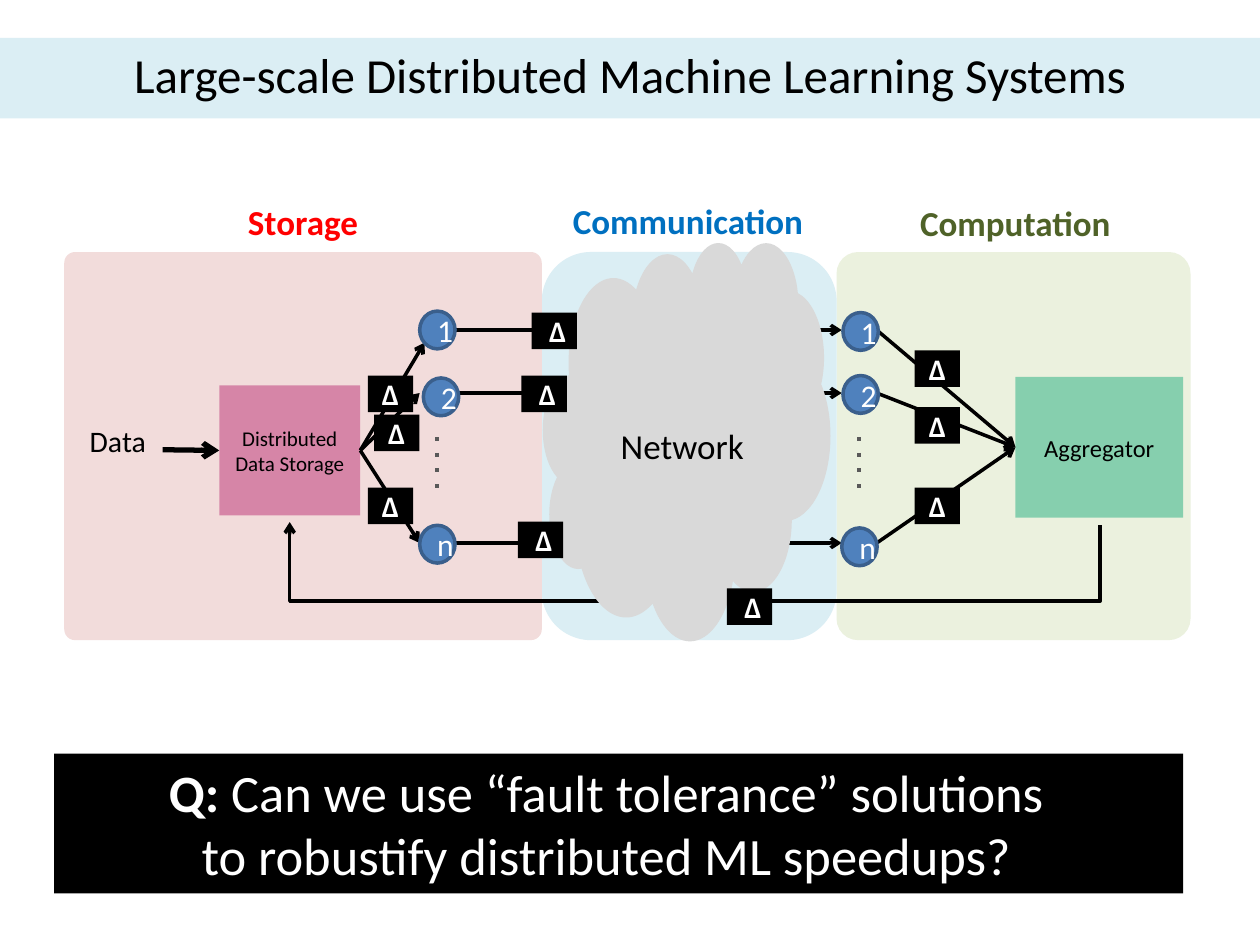
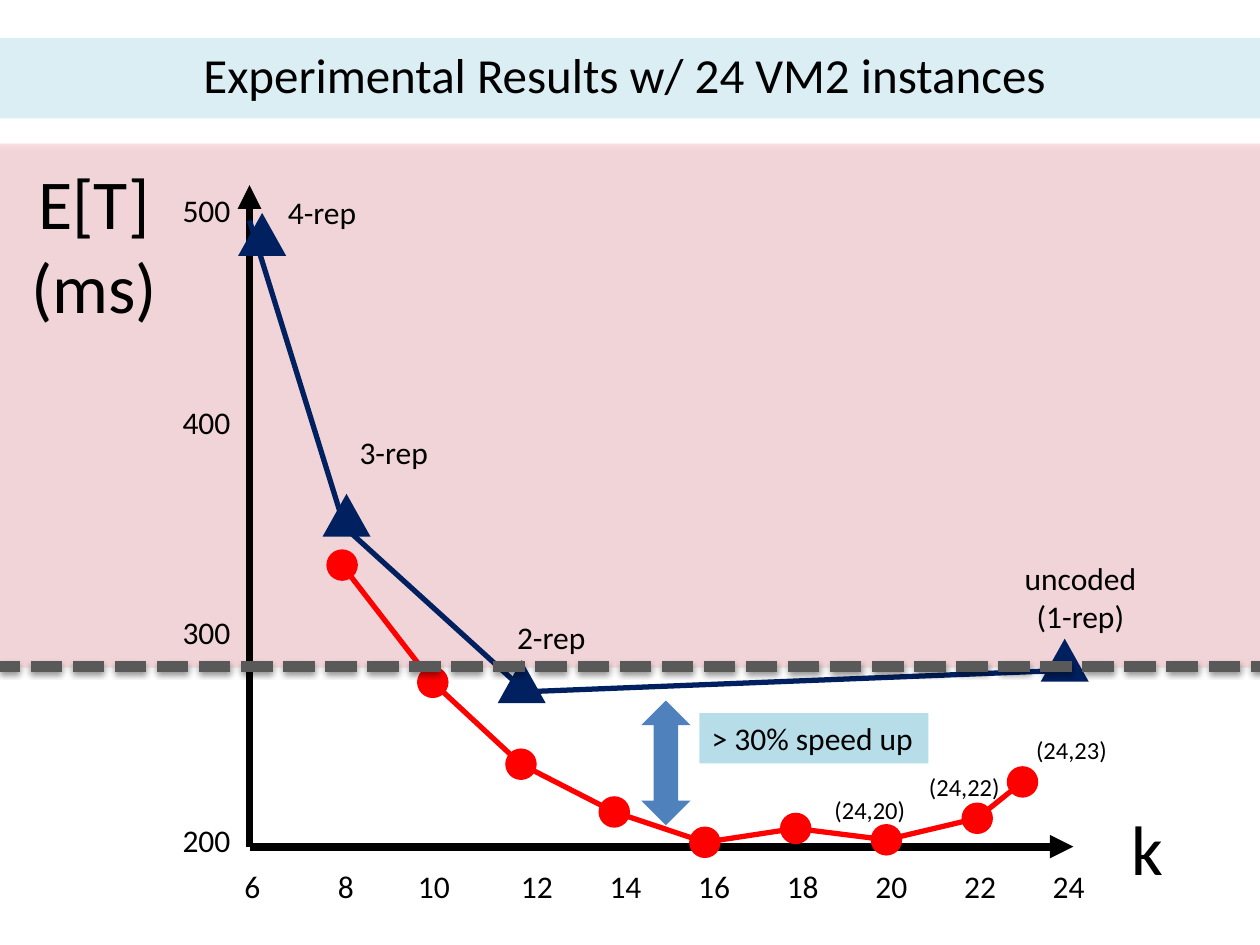
from lxml.etree import SubElement
from pptx import Presentation
from pptx.dml.color import RGBColor
from pptx.enum.shapes import MSO_CONNECTOR, MSO_SHAPE
from pptx.enum.text import MSO_ANCHOR, MSO_AUTO_SIZE, PP_ALIGN
from pptx.oxml.ns import qn
from pptx.util import Pt

FONT = "Calibri"
BLACK = RGBColor(0x00, 0x00, 0x00)
WHITE = RGBColor(0xFF, 0xFF, 0xFF)
RED = RGBColor(0xFF, 0x00, 0x00)
BLUE = RGBColor(0x4F, 0x81, 0xBD)
BLUE_EDGE = RGBColor(0x3A, 0x5F, 0x8C)
NAVY = RGBColor(0x00, 0x20, 0x60)
SKY = RGBColor(0x00, 0x70, 0xC0)
OLIVE = RGBColor(0x4F, 0x62, 0x28)
PALE_BLUE = RGBColor(0xDB, 0xEE, 0xF4)
PALE_GREEN = RGBColor(0xEB, 0xF1, 0xDE)
PALE_RED = RGBColor(0xF2, 0xDC, 0xDB)
AQUA = RGBColor(0xB7, 0xDE, 0xE8)
MAGENTA = RGBColor(0xC1, 0x44, 0x80)
GREEN = RGBColor(0x3A, 0xB6, 0x8A)
CORAL = RGBColor(0xFF, 0x5D, 0x6E)
LIGHT_GRAY = RGBColor(0xD9, 0xD9, 0xD9)
DARK_GRAY = RGBColor(0x59, 0x59, 0x59)
SMALL_INSET = (7.2, 3.6)
LARGE_INSET = (10, 5)


def add_box(slide, preset, frame, fill=None, text="", size=18, color=BLACK,
            bold=False, align=PP_ALIGN.CENTER, inset=SMALL_INSET, alpha=None):
    if preset is None:
        shape = slide.shapes.add_textbox(*map(Pt, frame))
    else:
        shape = slide.shapes.add_shape(preset, *map(Pt, frame))
        shape.shadow.inherit = False
        shape.fill.solid()
        shape.fill.fore_color.rgb = fill
        shape.line.fill.background()
        if alpha is not None:
            fill_color = shape._element.spPr.find(".//" + qn("a:srgbClr"))
            SubElement(fill_color, qn("a:alpha"), val=str(alpha * 1000))
    if text:
        text_frame = shape.text_frame
        text_frame.word_wrap = preset is not None
        text_frame.vertical_anchor = MSO_ANCHOR.TOP if preset is None else MSO_ANCHOR.MIDDLE
        text_frame.margin_left = text_frame.margin_right = Pt(inset[0])
        text_frame.margin_top = text_frame.margin_bottom = Pt(inset[1])
        text_frame.text = text
        for paragraph in text_frame.paragraphs:
            paragraph.alignment = align
            paragraph.font.name = FONT
            paragraph.font.size = Pt(size)
            paragraph.font.bold = bold
            paragraph.font.color.rgb = color
    return shape


def add_line(slide, start, end, color=BLACK, width=2, tail=None, dash=None,
             kind=MSO_CONNECTOR.STRAIGHT):
    line = slide.shapes.add_connector(kind, *map(Pt, (*start, *end)))
    line.line.color.rgb = color
    line.line.width = Pt(width)
    outline = line.line._get_or_add_ln()
    if dash:
        SubElement(outline, qn("a:prstDash"), val=dash)
    if tail:
        SubElement(outline, qn("a:tailEnd"), type=tail)
    SubElement(line._element.spPr, qn("a:effectLst"))
    return line


presentation = Presentation()
presentation.slide_width = Pt(720)
presentation.slide_height = Pt(540)
slides = []
for title_text in ("Large-scale Distributed Machine Learning Systems",
                   "Experimental Results w/ 24 VM2 instances "):
    slide = presentation.slides.add_slide(presentation.slide_layouts[5])
    title = slide.shapes.title
    title.left, title.top, title.width, title.height = map(Pt, (0, 21.6, 720, 46))
    title.fill.solid()
    title.fill.fore_color.rgb = PALE_BLUE
    title.text_frame.auto_size = MSO_AUTO_SIZE.NONE
    title.text_frame.vertical_anchor = MSO_ANCHOR.MIDDLE
    title.text_frame.text = title_text
    paragraph = title.text_frame.paragraphs[0]
    paragraph.alignment = PP_ALIGN.CENTER
    paragraph.line_spacing = 0.9
    paragraph.font.name = FONT
    paragraph.font.size = Pt(28)
    paragraph.font.color.rgb = BLACK
    slides.append(slide)
system_slide, results_slide = slides

for name, left, width, fill, radius, label_left, label_top, label_width, color in (
    ("Computation", 478, 202.3, PALE_GREEN, 0.061, 496, 110.2, 168.5, OLIVE),
    ("Communication", 309.6, 168.5, PALE_BLUE, 0.167, 300.2, 108.8, 185.8, SKY),
    ("Storage", 36.7, 272.9, PALE_RED, 0.028, 90, 109.4, 166.3, RED),
):
    panel = add_box(system_slide, MSO_SHAPE.ROUNDED_RECTANGLE, (left, 144, width, 221.8), fill)
    panel.adjustments[0] = radius
    add_box(system_slide, None, (label_left, label_top, label_width, 34.6),
            text=name, size=20, color=color, bold=True, inset=LARGE_INSET)

storage = add_box(system_slide, MSO_SHAPE.RECTANGLE, (125.3, 220.3, 80.6, 74.2), MAGENTA,
                  "Distributed Data Storage", 12, alpha=57)
aggregator = add_box(system_slide, MSO_SHAPE.RECTANGLE, (580.3, 215.3, 95.8, 80.6), GREEN,
                     "Aggregator", 14, alpha=57)
add_box(system_slide, None, (43.9, 238.3, 46.8, 28), text="Data", size=17)
data_arrow = add_line(system_slide, (92.9, 257), (125.3, 257), width=3, tail="arrow")
data_arrow.end_connect(storage, 1)

for row_y, worker_end in ((188.6, (242.6, 195.8)), (224.6, (239.8, 224.6)),
                          (310.3, (239.8, 310.3))):
    add_line(system_slide, (260, row_y), (481, row_y), tail="arrow")
    scatter = add_line(system_slide, (206, 257), worker_end, tail="arrow")
    scatter.begin_connect(storage, 3)
    gather = add_line(system_slide, (501, row_y), (580.3, 255.6), tail="arrow")
    gather.end_connect(aggregator, 1)

for dots_x in (249.8, 491):
    add_line(system_slide, (dots_x, 249.8), (dots_x, 278.6), DARK_GRAY, 2.25, dash="dot")

for label, left, top in (("1", 239.8, 177.8), ("2", 241.9, 216), ("n", 239.8, 300.2),
                         ("1", 481.7, 178.6), ("2", 481.7, 214.6), ("n", 481, 301.7)):
    worker = add_box(system_slide, MSO_SHAPE.OVAL, (left, top, 20.2, 21.6), BLUE, label,
                     color=WHITE)
    worker.line.color.rgb = BLUE_EDGE
    worker.line.width = Pt(2)

feedback = add_line(system_slide, (398, 67.7), (396.2, 530.7), tail="arrow",
                    kind=MSO_CONNECTOR.ELBOW)
feedback._element.spPr.find(qn("a:xfrm")).set("rot", "5400000")
SubElement(feedback._element.spPr.find(".//" + qn("a:avLst")), qn("a:gd"),
           name="adj1", fmla="val -2396700")

add_box(system_slide, MSO_SHAPE.CLOUD, (310.3, 138.2, 164.2, 227.5), LIGHT_GRAY)
add_box(system_slide, None, (342.7, 237.6, 94.3, 34.6), text="Network", size=20,
        inset=LARGE_INSET)

for inset, corners in (
    (SMALL_INSET, ((210.2, 214.6), (213.8, 236.9), (210.2, 278.6),
                   (522.7, 278.6), (522.7, 232.6), (522.7, 200.2))),
    (LARGE_INSET, ((295.9, 298), (298, 214.6), (303.8, 178.6), (415.4, 336.2))),
):
    for corner in corners:
        add_box(system_slide, MSO_SHAPE.RECTANGLE, (*corner, 25.9, 20.9), BLACK, "Δ", 17,
                WHITE, True, inset=inset)

question = add_box(system_slide, MSO_SHAPE.RECTANGLE, (31, 430.6, 645.1, 79.9), BLACK,
                   "Q:\nto robustify distributed ML speedups?", 30, WHITE)
paragraph = question.text_frame.paragraphs[0]
paragraph._p.get_or_add_pPr().set("marR", str(Pt(14)))
paragraph.runs[0].font.bold = True
paragraph.add_run().text = " Can we use “fault tolerance” solutions"

slow_zone = add_box(results_slide, MSO_SHAPE.RECTANGLE, (-54, 82.1, 830.9, 299.5), CORAL,
                    alpha=18)
origin = (142.6, 483.8)
for axis_end in ((613.4, 483.8), (142.6, 105.8)):
    add_line(results_slide, origin, axis_end, width=4.5, tail="triangle")
add_box(results_slide, None, (639.4, 456.5, 33.1, 55.4), text="k", size=40,
        align=PP_ALIGN.LEFT)
add_box(results_slide, None, (10.1, 87.8, 87.1, 104.4), text="E[T]\n(ms)", size=40)
for value, top in ((500, 105.8), (400, 226.8), (300, 347), (200, 465.8)):
    add_box(results_slide, None, (97.2, top, 42.5, 28.8), text=str(value),
            align=PP_ALIGN.LEFT)

ticks = add_box(results_slide, None, (132.5, 491.8, 505.4, 28.8),
                text="\t".join(str(k) for k in range(6, 25, 2)), align=PP_ALIGN.LEFT)
ticks.text_frame.word_wrap = True
tick_properties = ticks.text_frame.paragraphs[0]._p.get_or_add_pPr()
tab_list = SubElement(tick_properties, qn("a:tabLst"))
tick_properties.insert(0, tab_list)
for position in [58, 108.3] + [167.2 + 50.65 * step for step in range(7)]:
    SubElement(tab_list, qn("a:tab"), pos=str(Pt(position)), algn="ctr")

replication_points = [(142.6, 126), (197, 301.3), (300.5, 395.3), (609.8, 383)]
coded_points = [(195.5, 322.9), (247.3, 389.9), (297.7, 436.7), (351, 464), (402.8, 481.3),
                (454.7, 473.4), (506.5, 479.9), (558.4, 467.6), (584.3, 446.8)]
for points, color in ((replication_points, NAVY), (coded_points, RED)):
    for start, end in zip(points, points[1:]):
        add_line(results_slide, start, end, color, 3)

for x, y in coded_points:
    add_box(results_slide, MSO_SHAPE.OVAL, (x - 9, y - 9, 18, 18), RED)
for left, top in ((136.1, 121.7), (184.3, 282.2), (284.4, 377.3), (594.7, 365)):
    add_box(results_slide, MSO_SHAPE.ISOSCELES_TRIANGLE, (left, top, 27.4, 24.5), NAVY)

for text, left, top, width, height, size in (
    ("4-rep", 157, 106.6, 54, 28.8, 18),
    ("3-rep", 198, 244.1, 54, 28.8, 18),
    ("2-rep", 288, 349.9, 54, 28.8, 18),
    ("uncoded\v(1-rep)", 576.7, 316.1, 81.4, 51.1, 18),
    ("(24,23)", 584.6, 416.2, 55.4, 24.5, 14),
    ("(24,22)", 523.4, 437.8, 55.4, 24.5, 14),
    ("(24,20)", 469.4, 450.7, 55.4, 24.5, 14),
):
    add_box(results_slide, None, (left, top, width, height), text=text, size=size)

speedup = add_box(results_slide, MSO_SHAPE.RECTANGLE, (399.6, 407.5, 131, 28.8), AQUA,
                  "> 30% speed up", align=PP_ALIGN.LEFT)
speedup.text_frame.word_wrap = False
add_box(results_slide, MSO_SHAPE.UP_DOWN_ARROW, (366.5, 400.3, 28.1, 71.3), BLUE)
threshold = add_line(results_slide, (756.7, 380.9), (0, 380.9), DARK_GRAY, 6, dash="sysDash")

for shape, opacity, distance in ((slow_zone, 35, 1.8), (threshold, 38, 1.6)):
    effects = shape._element.spPr.find(qn("a:effectLst"))
    shadow = SubElement(effects, qn("a:outerShdw"), blurRad=str(Pt(3.1)),
                        dist=str(Pt(distance)), dir="5400000", rotWithShape="0")
    shadow_color = SubElement(shadow, qn("a:srgbClr"), val=str(BLACK))
    SubElement(shadow_color, qn("a:alpha"), val=str(opacity * 1000))

presentation.save("out.pptx")
